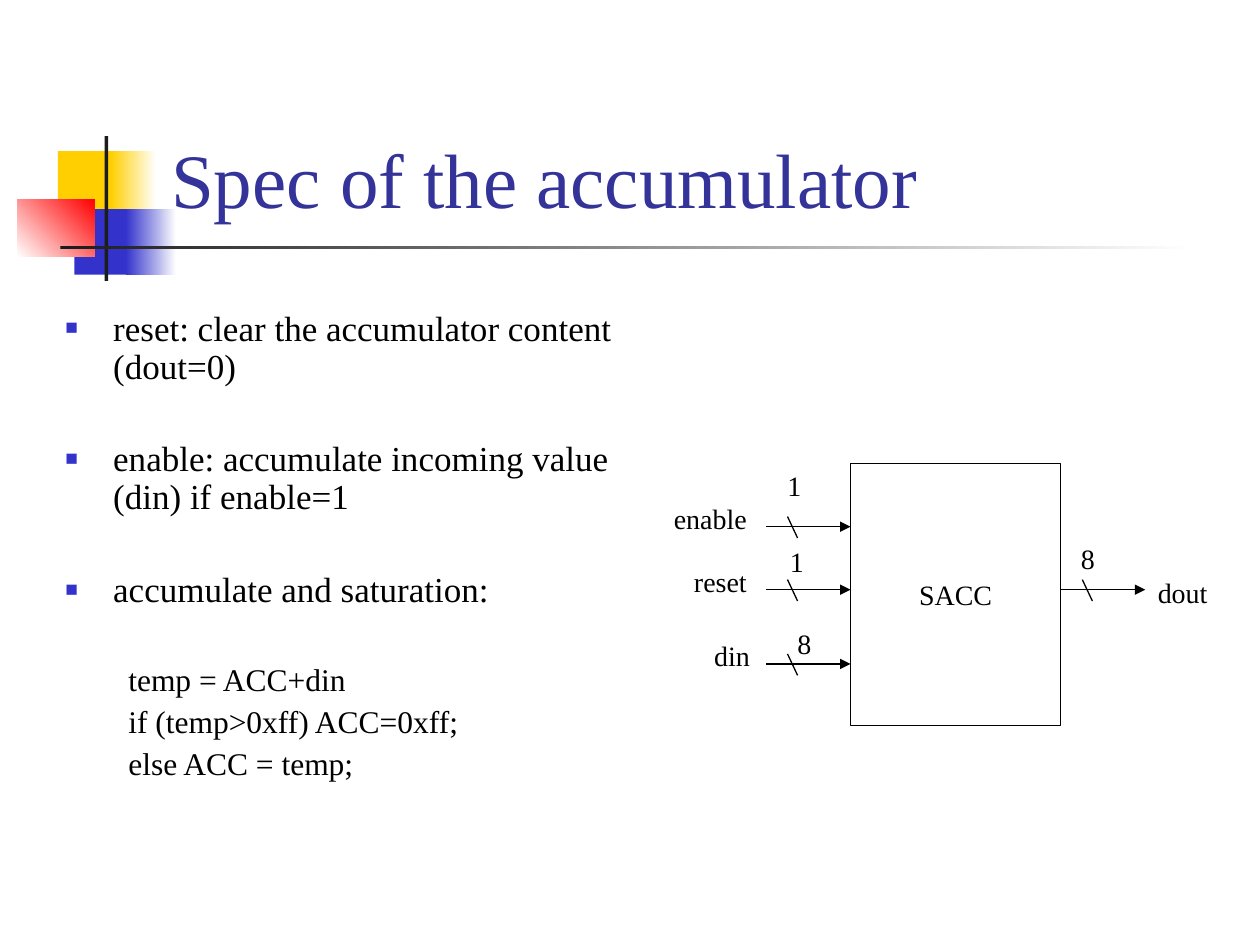
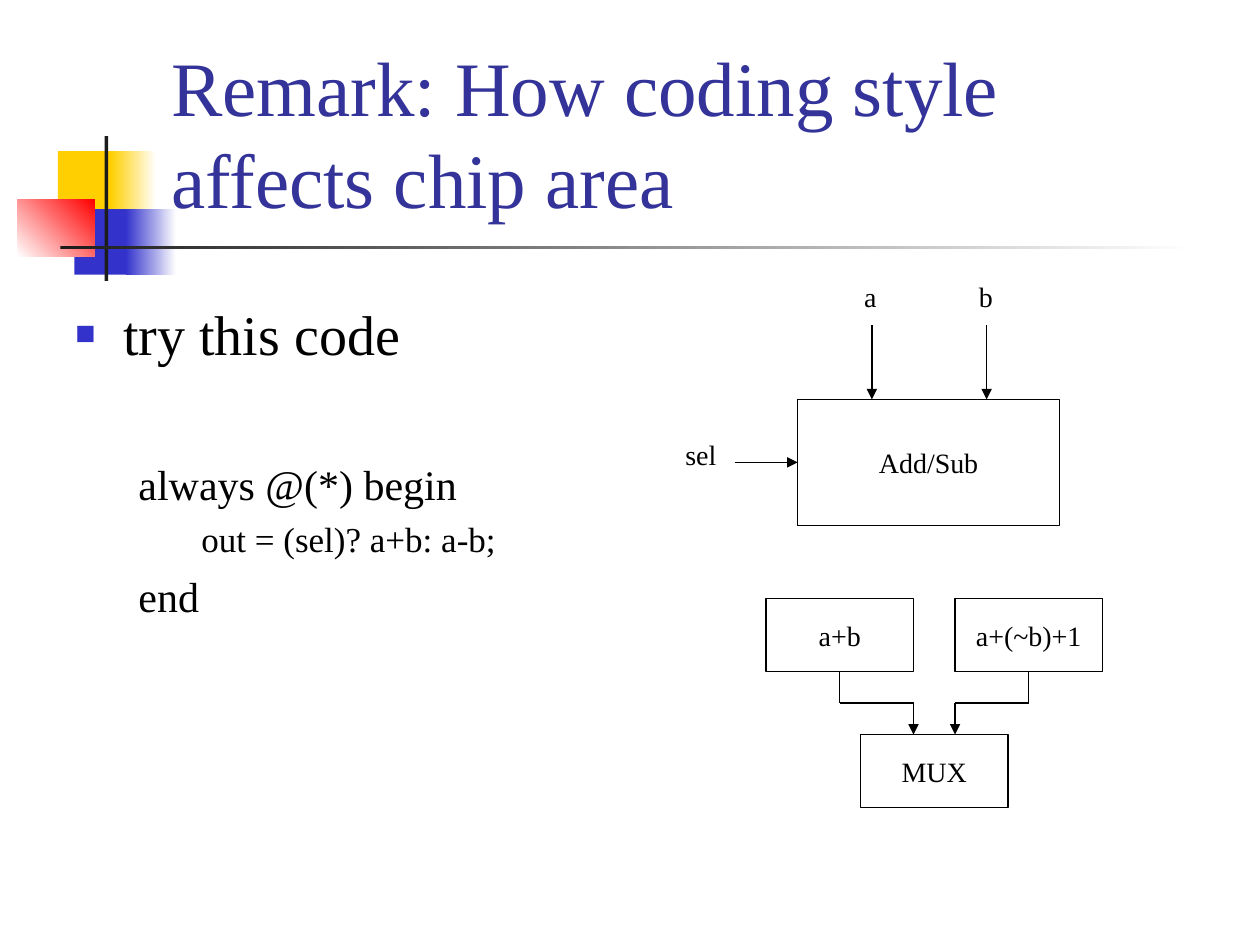
from lxml import etree
from pptx import Presentation
from pptx import util as u
from pptx.dml.color import RGBColor
from pptx.enum import shapes, text
from pptx.oxml import ns

FONT = "Times New Roman"
COLORS = {"title": "333399", "ink": "000000", "dark": "1C1C1C", "paper": "FFFFFF",
          "yellow": "FFCF01", "blue": "3333CC", "red": "FF0000"}
BLOCK_FORMAT = {"word_wrap": False, "vertical_anchor": text.MSO_ANCHOR.MIDDLE}
LABEL_FORMAT = {"word_wrap": False, "auto_size": text.MSO_AUTO_SIZE.SHAPE_TO_FIT_TEXT}
TITLE_FORMAT = {"word_wrap": True, "vertical_anchor": text.MSO_ANCHOR.BOTTOM}


def color(name):
    """Return the named colour of the deck."""
    return RGBColor.from_string(COLORS[name])


def inches(*values):
    """Turn numbers into lengths."""
    return [u.Inches(v) for v in values]


def set_attrs(obj, values):
    """Set each attribute of an object from a dict."""
    for name, value in values.items():
        setattr(obj, name, value)


def add_run(p, words, size, ink="ink"):
    """Add a formatted run to a paragraph."""
    r = p.add_run()
    r.text = words
    set_attrs(r.font, {"name": FONT, "size": u.Pt(size)})
    r.font.color.rgb = color(ink)


def add_sub(parent, tag, **attrs):
    """Append a drawing element with attributes."""
    return etree.SubElement(parent, ns.qn(tag), attrs)


def add_band(s, box, start, end=None, angle=0):
    """Draw a borderless rectangle, plain or with a gradient."""
    sp = s.shapes.add_shape(shapes.MSO_SHAPE.RECTANGLE, *inches(*box))
    sp.shadow.inherit = False
    sp.line.fill.background()
    if end is None:
        sp.fill.solid()
        sp.fill.fore_color.rgb = color(start)
        return
    sp.fill.gradient()
    sp.fill.gradient_angle = angle
    for stop, name in zip(sp.fill.gradient_stops, (start, end)):
        stop.color.rgb = color(name)


def add_block(group, words, x, y, w, h):
    """Draw an outlined block with centred text."""
    sp = group.add_shape(shapes.MSO_SHAPE.RECTANGLE, *inches(x, y, w, h))
    sp.shadow.inherit = False
    sp.fill.background()
    sp.line.color.rgb = color("ink")
    sp.line.width = u.Pt(0.75)
    set_attrs(sp.text_frame, BLOCK_FORMAT)
    p = sp.text_frame.paragraphs[0]
    p.alignment = text.PP_ALIGN.CENTER
    add_run(p, words, 16)
    return sp


def add_label(group, words, x, y, w=0.33):
    """Write a signal name or a bus width."""
    tf = group.add_textbox(*inches(x, y, w, 0.37)).text_frame
    set_attrs(tf, LABEL_FORMAT)
    add_run(tf.paragraphs[0], words, 16)


def add_wire(group, x1, y1, x2, y2, arrow=False):
    """Draw a straight wire, with an arrowhead at its end if asked."""
    wire = group.add_connector(shapes.MSO_CONNECTOR.STRAIGHT, *inches(x1, y1, x2, y2))
    wire.line.color.rgb = color("ink")
    wire.line.width = u.Pt(0.75)
    if arrow:
        add_sub(wire.line._get_or_add_ln(), "a:tailEnd", type="triangle")
    add_sub(wire._element.spPr, "a:effectLst")
    return wire


def add_bus(group, x, y):
    """Draw an arrow with a slash across it."""
    add_wire(group, x, y, x + 0.67, y, arrow=True)
    add_wire(group, x + 0.17, y - 0.08, x + 0.25, y + 0.09)


def add_frame(prs, title):
    """Add a slide with the corner ornament and its title."""
    s = prs.slides.add_slide(prs.slide_layouts[6])
    add_band(s, (0.46, 1.2, 0.48, 0.52), "yellow")
    add_band(s, (0.88, 1.2, 0.36, 0.52), "yellow", "paper")
    add_band(s, (0.59, 1.66, 0.46, 0.52), "blue")
    add_band(s, (1, 1.66, 0.4, 0.52), "blue", "paper")
    add_band(s, (0.14, 1.58, 0.61, 0.46), "paper", "red", 45)
    add_band(s, (0.83, 1.08, 0.03, 1.15), "dark")
    add_band(s, (0.48, 1.95, 9, 0.03), "dark", "paper")
    tf = s.shapes.add_textbox(*inches(1.26, 0.23, 8.52, 1.6)).text_frame
    set_attrs(tf, TITLE_FORMAT)
    add_run(tf.paragraphs[0], title, 44, "title")
    return s


def add_body(s, box, lines, spacing):
    """Write (level, size, space before, words) lines; level 0 has a bullet."""
    tf = s.shapes.add_textbox(*inches(*box)).text_frame
    tf.word_wrap = True
    margins = [(0.38, -0.38), (0.81, -0.31), (1.25, -0.25)]
    for i, (level, size, before, words) in enumerate(lines):
        p = tf.add_paragraph() if i else tf.paragraphs[0]
        set_attrs(p, {"level": level, "line_spacing": spacing, "space_before": u.Pt(before)})
        pPr = p._p.get_or_add_pPr()
        for name, value in zip(("marL", "indent"), inches(*margins[level])):
            pPr.set(name, str(value))
        if level == 0:
            add_sub(add_sub(pPr, "a:buClr"), "a:srgbClr", val=COLORS["blue"])
            add_sub(pPr, "a:buSzPct", val="60000")
            add_sub(pPr, "a:buFont", typeface=FONT)
            add_sub(pPr, "a:buChar", char="■")
        add_run(p, words, size)


def accumulator_diagram(s, x, y, w, h):
    """Draw the accumulator block with its ports."""
    group = s.shapes.add_group_shape().shapes
    add_block(group, "SACC", x, y, w, h)
    inputs = [("enable", 0.8, 0.5, "1", -0.6, -0.01),
              ("reset", 0.64, 1, "1", -0.58, 0.59),
              ("din", 0.48, 1.59, "8", -0.52, 1.24)]
    for name, name_w, port_y, bits, bits_x, bits_y in inputs:
        add_bus(group, x - 0.67, y + port_y)
        add_label(group, name, x - 0.7 - name_w, y + port_y - 0.25, name_w)
        add_label(group, bits, x + bits_x, y + bits_y)
    add_bus(group, x + w, y + 1)
    add_label(group, "dout", x + w + 0.67, y + 0.84, 0.68)
    add_label(group, "8", x + w + 0.06, y + 0.57)


def adder_diagram(s, x, y, w, h):
    """Draw the shared adder and subtractor with its inputs."""
    group = s.shapes.add_group_shape().shapes
    adder = add_block(group, "Add/Sub", x, y, w, h)
    for name, port_x in (("a", 0.59), ("b", 1.5)):
        add_wire(group, x + port_x, y - 0.59, x + port_x, y, arrow=True)
        add_label(group, name, x + port_x - 0.16, y - 1)
    add_wire(group, x - 0.5, y + h / 2, x, y + h / 2, arrow=True).end_connect(adder, 1)
    add_label(group, "sel", x - 0.99, y + 0.25, 0.52)


def mux_diagram(s, x, y, w, h):
    """Draw two adders that feed a multiplexer."""
    group = s.shapes.add_group_shape().shapes
    mux_y, bend_y = y + 1.08, y + h + 0.25
    add_block(group, "MUX", x + 0.75, mux_y, w, h)
    for words, left, port_x in (("a+b", x, x + 1.17), ("a+(~b)+1", x + 1.5, x + 1.5)):
        source = add_block(group, words, left, y, w, h)
        mid = left + w / 2
        add_wire(group, mid, y + h, mid, bend_y).begin_connect(source, 2)
        add_wire(group, mid, bend_y, port_x, bend_y)
        add_wire(group, port_x, bend_y, port_x, mux_y, arrow=True)


def spec_slide(prs):
    """Build the slide on the accumulator's behaviour."""
    s = add_frame(prs, "Spec of the accumulator")
    add_body(s, (0.42, 2.42, 4.58, 4.17), [
        (0, 20, 5, "reset: clear the accumulator content (dout=0)"),
        (0, 20, 31.4, "enable: accumulate incoming value (din) if enable=1"),
        (0, 20, 31.4, "accumulate and saturation:"),
        (1, 18, 30.9, "temp = ACC+din"),
        (1, 18, 4.5, "if (temp>0xff) ACC=0xff;"),
        (1, 18, 4.5, "else ACC = temp;")], 0.9)
    accumulator_diagram(s, 6.75, 3.68, 1.67, 2.08)


def style_slide(prs):
    """Build the slide on coding style and area."""
    s = add_frame(prs, "Remark: How coding style affects chip area")
    add_body(s, (0.5, 2.33, 4.08, 2.96), [
        (0, 32, 8, "try this code"),
        (1, 24, 52.5, "always @(*) begin"),
        (2, 20, 5, "out = (sel)? a+b: a-b;"),
        (1, 24, 6, "end")], 1.0)
    adder_diagram(s, 6.33, 3.17, 2.08, 1)
    mux_diagram(s, 6.08, 4.75, 1.17, 0.58)


def main():
    """Build and save the deck."""
    prs = Presentation()
    prs.slide_width, prs.slide_height = inches(10, 7.5)
    spec_slide(prs)
    style_slide(prs)
    prs.save("out.pptx")


if __name__ == "__main__":
    main()
